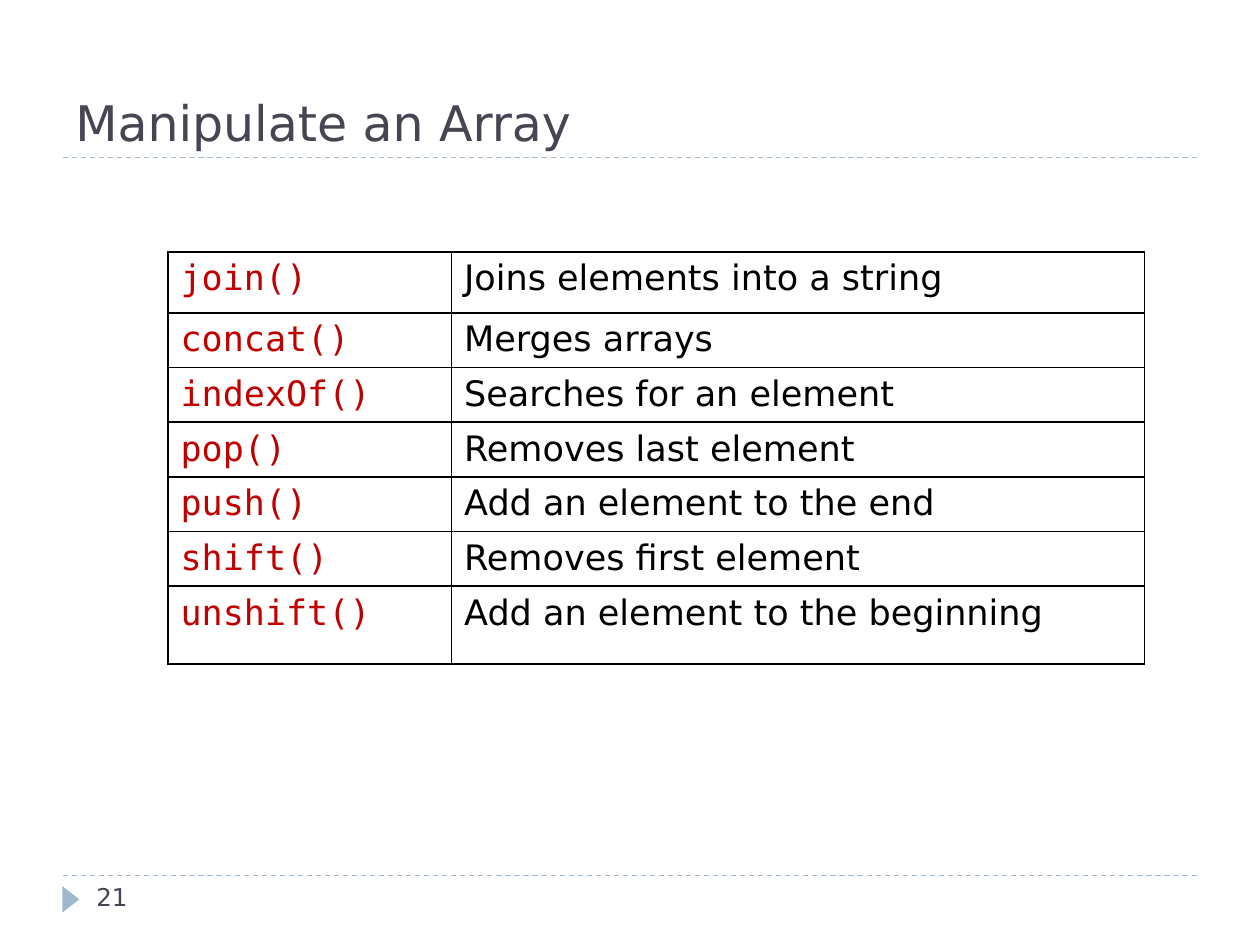
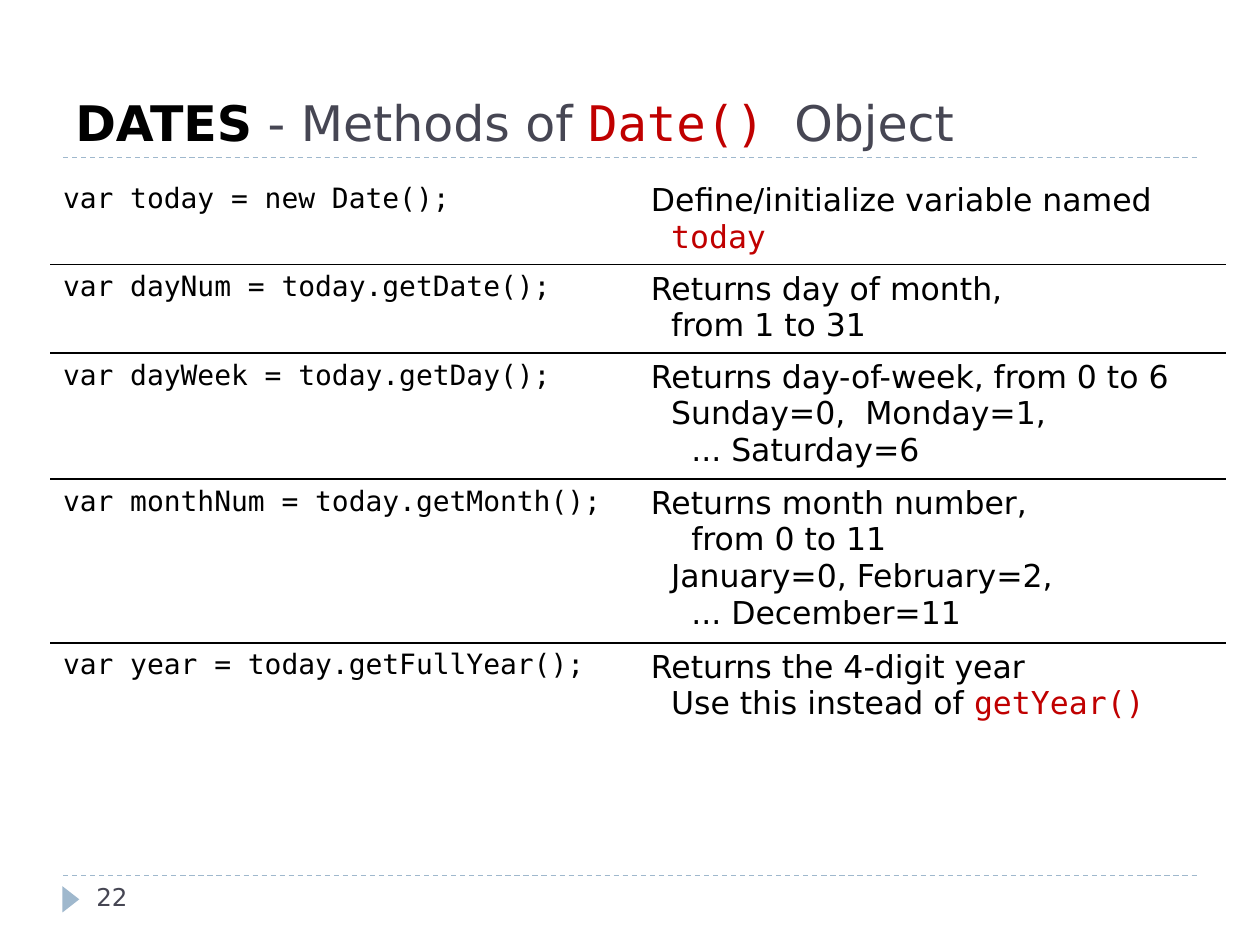
"""Two slides on JavaScript arrays and dates, each a title, a table and a footer."""
from dataclasses import dataclass

from lxml import etree
from pptx import Presentation
from pptx import util as u
from pptx.dml.color import RGBColor
from pptx.enum import dml, shapes, text
from pptx.oxml import ns

COLS, ROWS = 120, 90  # grid laid over each slide
SANS, MONO = "DejaVu Sans", "DejaVu Sans Mono"
BLACK, INK, RED, BLUE = "000000", "464653", "C00000", "9FB8CD"
LEFT, RIGHT, TITLE_RULE, FOOTER_RULE = 6, 114, 15, 83.4
INDENT = 0.16  # inches for each indent level
LINE_ROWS, PAD_ROWS = 3.5, 1.2  # height of one 18 pt line, and of cell margins

prs = Presentation()
prs.slide_width, prs.slide_height = u.Inches(10), u.Inches(7.5)


@dataclass(frozen=True)
class Run:
    """A stretch of text in one format."""
    words: str
    size: float
    font: str = SANS
    color: str = BLACK
    bold: bool = False


@dataclass(frozen=True)
class Line:
    """A paragraph of runs at an indent level."""
    runs: tuple[Run, ...]
    level: int = 0


@dataclass(frozen=True)
class Grid:
    """A table: place, columns and rows in grid units, cells, and border style."""
    left: float
    top: float
    widths: tuple[float, ...]
    heights: tuple[float, ...]
    cells: list[tuple[list[Line], ...]]
    boxed: bool


def col(n: float) -> int:
    """Horizontal length of n grid columns."""
    return round(prs.slide_width * n / COLS)


def row(n: float) -> int:
    """Vertical length of n grid rows."""
    return round(prs.slide_height * n / ROWS)


def rgb(value: str) -> RGBColor:
    """Colour from a hex string."""
    return RGBColor.from_string(value)


def line(words: str, size: float, font: str = SANS, color: str = BLACK,
         level: int = 0) -> Line:
    """A paragraph in a single format."""
    return Line((Run(words, size, font, color),), level)


def write(tf, lines: list[Line]) -> None:
    """Fill a text frame with paragraphs."""
    for i, item in enumerate(lines):
        p = tf.add_paragraph() if i else tf.paragraphs[0]
        p.alignment = text.PP_ALIGN.LEFT
        if item.level:
            p._p.get_or_add_pPr().set("marL", str(u.Inches(INDENT * item.level)))
        for part in item.runs:
            r = p.add_run()
            r.text = part.words
            formats = {"name": part.font, "size": u.Pt(part.size), "bold": part.bold}
            for key, value in formats.items():
                setattr(r.font, key, value)
            r.font.color.rgb = rgb(part.color)


def add_text(s, left: float, top: float, width: float, height: float,
             item: Line, anchor) -> None:
    """Place a one-paragraph text box on the grid."""
    tf = s.shapes.add_textbox(col(left), row(top), col(width), row(height)).text_frame
    formats = {"word_wrap": True, "vertical_anchor": anchor}
    for key, value in formats.items():
        setattr(tf, key, value)
    write(tf, [item])


def add_rule(s, y: float) -> None:
    """Draw a dashed rule across the slide."""
    sp = s.shapes.add_connector(shapes.MSO_CONNECTOR.STRAIGHT,
                                col(LEFT), row(y), col(RIGHT), row(y))
    formats = {"width": u.Pt(0.75), "dash_style": dml.MSO_LINE.DASH}
    for key, value in formats.items():
        setattr(sp.line, key, value)
    sp.line.color.rgb = rgb(BLUE)
    etree.SubElement(sp._element.spPr, ns.qn("a:effectLst"))


def add_frame(s, title: Line, number: int) -> None:
    """Draw the rules, footer marker, title and slide number."""
    add_rule(s, FOOTER_RULE)
    add_rule(s, TITLE_RULE)
    sp = s.shapes.add_shape(shapes.MSO_SHAPE.ISOSCELES_TRIANGLE,
                            col(5.5), row(84.85), col(2.5), row(1.6))
    sp.rotation = 90
    sp.shadow.inherit = False
    sp.fill.solid()
    sp.fill.fore_color.rgb = rgb(BLUE)
    sp.line.fill.background()
    add_text(s, LEFT, 2, RIGHT - LEFT, TITLE_RULE - 2, title, text.MSO_ANCHOR.BOTTOM)
    add_text(s, 8, FOOTER_RULE, 26, 4.8, line(str(number), 14, color=INK),
             text.MSO_ANCHOR.TOP)


def set_borders(cell, shown: dict[str, bool]) -> None:
    """Give each cell edge a black 1 pt line, or none."""
    tc_pr = cell._tc.get_or_add_tcPr()
    for edge, visible in shown.items():
        ln = etree.SubElement(tc_pr, ns.qn(f"a:ln{edge}"), w=str(u.Pt(1)))
        if visible:
            fill = etree.SubElement(ln, ns.qn("a:solidFill"))
            etree.SubElement(fill, ns.qn("a:srgbClr"), val=BLACK)
        else:
            etree.SubElement(ln, ns.qn("a:noFill"))


def add_grid(s, grid: Grid) -> None:
    """Draw a table, either fully boxed or with rules between rows only."""
    last = len(grid.heights) - 1
    table = s.shapes.add_table(last + 1, len(grid.widths), col(grid.left), row(grid.top),
                               col(sum(grid.widths)), row(sum(grid.heights))).table
    table.first_row = table.horz_banding = False
    for column, width in zip(table.columns, grid.widths):
        column.width = col(width)
    for i, (height, cells) in enumerate(zip(grid.heights, grid.cells)):
        table.rows[i].height = row(height)
        for j, lines in enumerate(cells):
            cell = table.cell(i, j)
            set_borders(cell, {"L": grid.boxed, "R": grid.boxed,
                               "T": grid.boxed or i > 0, "B": grid.boxed or i < last})
            cell.fill.background()
            write(cell.text_frame, lines)


def add_slide(title: Line, number: int, grid: Grid) -> None:
    """Add one slide with its frame and table."""
    s = prs.slides.add_slide(prs.slide_layouts[6])
    add_frame(s, title, number)
    add_grid(s, grid)


ARRAY_METHODS = {
    "join()": "Joins elements into a string",
    "concat()": "Merges arrays",
    "indexOf()": "Searches for an element",
    "pop()": "Removes last element",
    "push()": "Add an element to the end",
    "shift()": "Removes first element",
    "unshift()": "Add an element to the beginning",
}
DATE_METHODS = {
    "var today = new Date();": [
        line("Define/initialize variable named", 18),
        line("today", 18, MONO, RED, level=1)],
    "var dayNum = today.getDate();": [
        line("Returns day of month,", 18),
        line("from 1 to 31", 18, level=1)],
    "var dayWeek = today.getDay();": [
        line("Returns day-of-week, from 0 to 6", 18),
        line("Sunday=0,  Monday=1,", 18, level=1),
        line("... Saturday=6", 18, level=2)],
    "var monthNum = today.getMonth();": [
        line("Returns month number,", 18),
        line("from 0 to 11", 18, level=2),
        line("January=0, February=2,", 18, level=1),
        line("... December=11", 18, level=2)],
    "var year = today.getFullYear();": [
        line("Returns the 4-digit year", 18),
        Line((Run("Use this instead of ", 18), Run("getYear()", 18, MONO, RED)), 1)],
}

add_slide(
    line("Manipulate an Array", 28, color=INK), 21,
    Grid(16, 24, (27, 66), (5.8, *[5.08] * 5, 7.4),
         [([line(name, 20, MONO, RED)], [line(use, 20)])
          for name, use in ARRAY_METHODS.items()], boxed=True))
add_slide(
    Line((Run("DATES", 28, bold=True), Run(" - Methods of ", 28, color=INK),
          Run("Date() ", 28, MONO, RED), Run("Object", 28, color=INK))), 22,
    Grid(4.8, 16.8, (56, 56),
         tuple(LINE_ROWS * len(lines) + PAD_ROWS for lines in DATE_METHODS.values()),
         [([line(code, 16, MONO)], lines) for code, lines in DATE_METHODS.items()],
         boxed=False))

prs.save("out.pptx")
